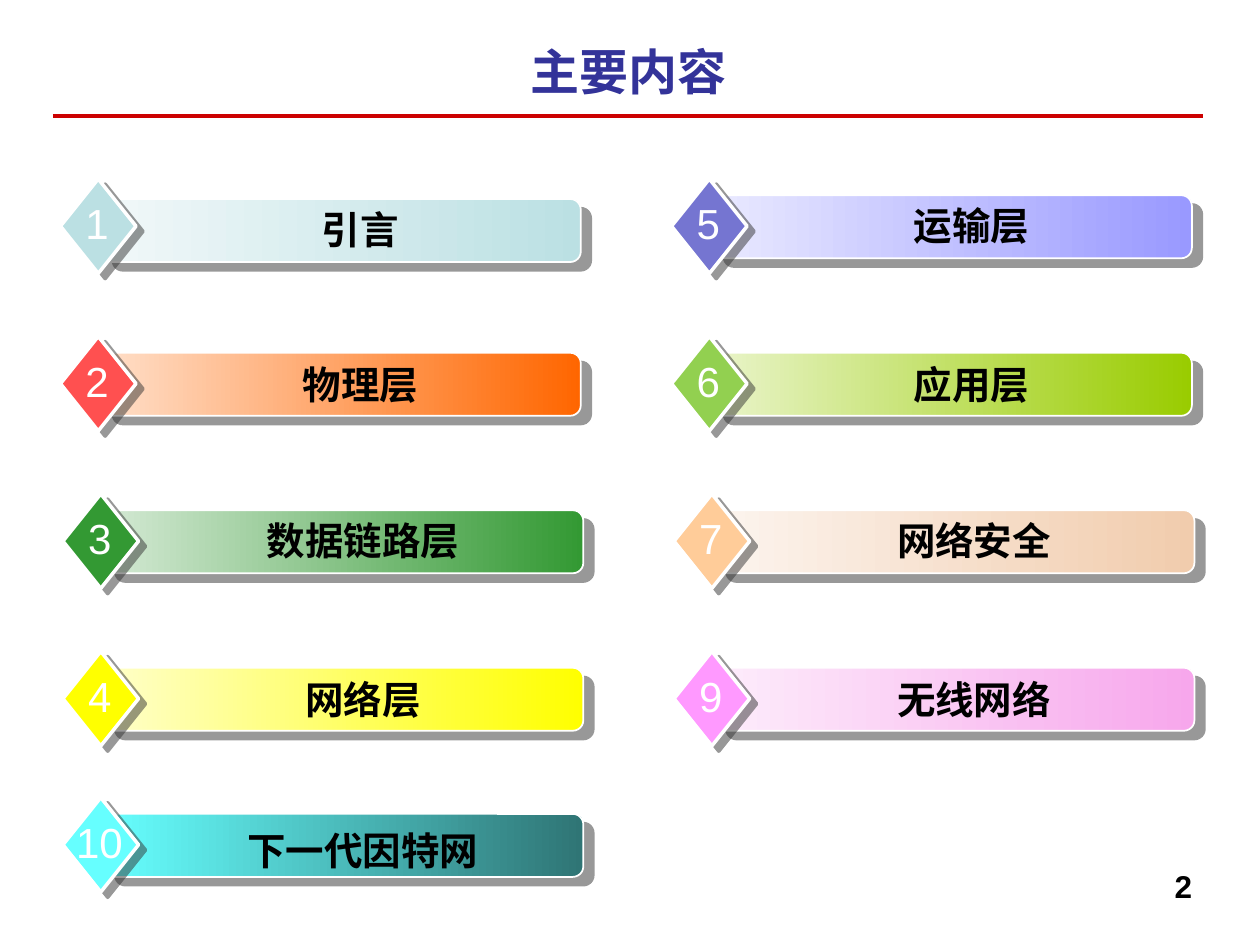
import pptx
import pptx.util
import pptx.dml.color
import pptx.enum.shapes
import pptx.enum.text
import pptx.oxml
import pptx.oxml.ns
from lxml import etree

Inches = pptx.util.Inches
Pt = pptx.util.Pt
SHAPE = pptx.enum.shapes.MSO_SHAPE
ALIGN = pptx.enum.text.PP_ALIGN
ANCHOR = pptx.enum.text.MSO_ANCHOR
CJK = "Noto Sans CJK SC"
qn = pptx.oxml.ns.qn


def rgb(value):
    return pptx.dml.color.RGBColor.from_string(value)


class Deck:
    """Holds the style and the current slide."""
    bar_size = (3.8, 0.5)
    diamond_size = (0.6, 0.75)

    def __init__(self, prs):
        self.s = prs.slides.add_slide(prs.slide_layouts[6])

    def text(self, box, text, size, font, color, bold=True,
             align=ALIGN.CENTER, anchor=ANCHOR.MIDDLE, pad=(0, 0), wrap=True):
        sp = self.s.shapes.add_textbox(*map(Inches, box))
        tf = sp.text_frame
        tf.word_wrap = wrap
        tf.vertical_anchor = anchor
        tf.margin_top, tf.margin_bottom = map(Inches, pad)
        p = tf.paragraphs[0]
        p.alignment = align
        r = p.add_run()
        r.text = text
        r.font.size = Pt(size)
        r.font.bold = bold
        r.font.name = font
        r.font.color.rgb = rgb(color)
        ea = etree.SubElement(r.font._element, qn("a:ea"))
        ea.set("typeface", CJK)

    def rule(self, x1, x2, y, color, width):
        c = self.s.shapes.add_connector(
            pptx.enum.shapes.MSO_CONNECTOR.STRAIGHT,
            Inches(x1), Inches(y), Inches(x2), Inches(y))
        c.line.color.rgb = rgb(color)
        c.line.width = Pt(width)
        etree.SubElement(c._element.spPr, qn("a:effectLst"))

    def shape(self, kind, x, y, size, line_width, shadow):
        sp = self.s.shapes.add_shape(kind, *map(Inches, (x, y, *size)))
        sp.line.color.rgb = rgb("FFFFFF")
        sp.line.width = Pt(line_width)
        self.shadow(sp, *shadow)
        return sp

    def shadow(self, sp, distance, angle):
        """Add a hard, half-transparent grey shadow."""
        sp.shadow.inherit = False
        effects = sp._element.spPr.find(qn("a:effectLst"))
        outer = etree.SubElement(
            effects, qn("a:outerShdw"), blurRad="0", dist=str(Pt(distance)),
            dir=str(angle * 60000), algn="ctr", rotWithShape="0")
        color = etree.SubElement(outer, qn("a:srgbClr"), val="333333")
        etree.SubElement(color, qn("a:alpha"), val="50000")

    def bar(self, x, y, colors):
        sp = self.shape(SHAPE.ROUNDED_RECTANGLE, x, y, self.bar_size, 1, (7.8, 40))
        sp.fill.gradient()
        sp.fill.gradient_angle = 0
        for stop, color in zip(sp.fill.gradient_stops, colors):
            stop.color.rgb = rgb(color)

    def diamond(self, x, y, color):
        sp = self.shape(SHAPE.DIAMOND, x, y, self.diamond_size, 2, (5, 37))
        sp.fill.solid()
        sp.fill.fore_color.rgb = rgb(color)

    def chapter(self, x, y, number, title, color, gradient, bar_dy=0.13, label_dy=0.13):
        self.bar(x + 0.33, y + bar_dy, gradient)
        self.diamond(x, y, color)
        width = 0.19 + 0.19 * len(number)
        self.text((x + 0.29 - width / 2, y + 0.1, width, 0.5), number, 24, "Arial",
                  "FFFFFF", bold=False, anchor=ANCHOR.TOP, pad=(0.05, 0.05), wrap=False)
        self.text((x + 0.63, y + label_dy, 3.5, 0.5), title, 22, CJK, "000000")


ROW_TOPS = [1.42, 2.67, 3.92, 5.17, 6.33]
ROW_LEFTS = [0.48, 0.48, 0.5, 0.5, 0.5]
COLUMN_STEP = 4.85

# column, row, number, title, diamond colour, bar gradient, vertical offsets
CHAPTERS = [
    (0, 0, "1", "引言", "BBE0E3", ("F1F8F9", "BBE0E3"), 0.16, 0.15),
    (0, 1, "2", "物理层", "FF5050", ("FFDFC9", "FF6600")),
    (0, 2, "3", "数据链路层", "339933", ("D4E9D4", "339933"), 0.13, 0.12),
    (0, 3, "4", "网络层", "FFFF00", ("FFFFC9", "FFFF00")),
    (0, 4, "10", "下一代因特网", "66FFFF", ("66FFFF", "2F7575"), 0.13, 0.17),
    (1, 0, "5", "运输层", "7575D1", ("E9E9FF", "9999FF"), 0.13, 0.12),
    (1, 1, "6", "应用层", "92D050", ("E9F4C9", "99CC00")),
    (1, 2, "7", "网络安全", "FFCC99", ("FCF4EE", "F1CCAD"), 0.13, 0.12),
    (1, 3, "9", "无线网络", "FF99FF", ("FDECFB", "F7A7EC")),
]


def main():
    prs = pptx.Presentation()
    prs.slide_width = Inches(10)
    prs.slide_height = Inches(7.5)
    deck = Deck(prs)
    deck.rule(0.42, 9.55, 0.92, "CC0000", 2)
    deck.text((0.42, 0.25, 9.13, 0.67), "主要内容", 28, "Times New Roman", "333399",
              pad=(0, 0.05))
    for column, row, *chapter in CHAPTERS:
        deck.chapter(ROW_LEFTS[row] + column * COLUMN_STEP, ROW_TOPS[row], *chapter)
    deck.text((7.23, 6.83, 2.33, 0.52), "2", 18, "Arial", "000000",
              align=ALIGN.RIGHT, anchor=ANCHOR.TOP, pad=(0.05, 0.05))
    prs.save("out.pptx")


if __name__ == "__main__":
    main()
